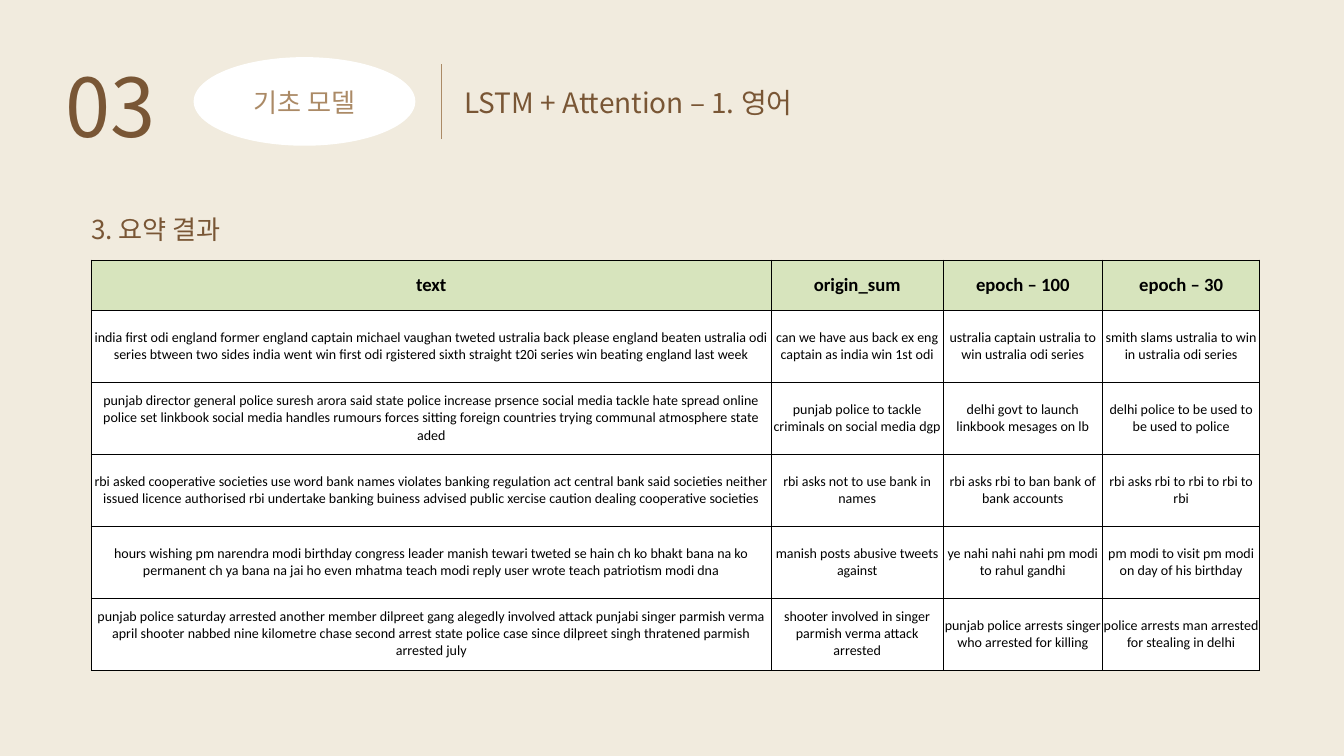
from lxml import etree
from pptx import Presentation
from pptx.dml.color import RGBColor
from pptx.enum.shapes import MSO_CONNECTOR, MSO_SHAPE
from pptx.enum.text import MSO_ANCHOR, PP_ALIGN
from pptx.oxml.ns import qn
from pptx.util import Cm, Pt

LEFT, CENTER, JUSTIFY = PP_ALIGN.LEFT, PP_ALIGN.CENTER, PP_ALIGN.JUSTIFY
TOP, MIDDLE = MSO_ANCHOR.TOP, MSO_ANCHOR.MIDDLE

CREAM = RGBColor(0xF1, 0xEB, 0xDE)
BROWN = RGBColor(0x79, 0x56, 0x35)
TAN = RGBColor(0xAB, 0x8A, 0x66)
GREEN = RGBColor(0xD7, 0xE4, 0xBD)
WHITE = RGBColor(0xFF, 0xFF, 0xFF)
BLACK = RGBColor(0x00, 0x00, 0x00)

HEADING_FONT = "Noto Sans CJK KR"
TABLE_FONT = "Calibri"


def set_heading(sp, text, size, color, align, spacing):
    tf = sp.text_frame
    tf.word_wrap = True
    tf.vertical_anchor = TOP
    tf.margin_left = tf.margin_right = tf.margin_top = tf.margin_bottom = 0
    tf.text = text
    p = tf.paragraphs[0]
    p.alignment = align
    p.line_spacing = spacing
    r = p.runs[0]
    r.font.name = HEADING_FONT
    r.font.size = Pt(size)
    r.font.color.rgb = color
    # East Asian typeface for the Korean words
    ea = etree.SubElement(r._r.get_or_add_rPr(), qn("a:ea"))
    ea.set("typeface", HEADING_FONT)


def set_borders(cell, color, width):
    tcPr = cell._tc.get_or_add_tcPr()
    for i, side in enumerate(("a:lnL", "a:lnR", "a:lnT", "a:lnB")):
        ln = etree.Element(qn(side), w=str(Pt(width)))
        fill = etree.SubElement(ln, qn("a:solidFill"))
        etree.SubElement(fill, qn("a:srgbClr"), val=str(color))
        tcPr.insert(i, ln)


prs = Presentation()
prs.slide_width, prs.slide_height = Cm(50.8), Cm(28.58)
s = prs.slides.add_slide(prs.slide_layouts[5])
s.background.fill.solid()
s.background.fill.fore_color.rgb = CREAM

# Title
title = s.shapes.title
title.left, title.top, title.width, title.height = Cm(17.55), Cm(3.02), Cm(17.37), Cm(1.35)
set_heading(title, "LSTM + Attention – 1. 영어", 30, BROWN, LEFT, Pt(41.5))

# Oval behind the section name
oval = s.shapes.add_shape(MSO_SHAPE.OVAL, Cm(7.32), Cm(2.16), Cm(8.38), Cm(3.35))
oval.shadow.inherit = False
oval.fill.solid()
oval.fill.fore_color.rgb = WHITE
oval.line.fill.background()

# Section number, section name and subheading
headings = [
    ("03", (2.49, 1.5, 3.84, 4.01), 87, BROWN, LEFT, Pt(121.9)),
    ("기초 모델", (9.17, 3.07, 4.65, 1.27), 28, TAN, CENTER, Pt(39.3)),
    ("3. 요약 결과", (3.45, 7.47, 13.69, 8.97), 28, BROWN, JUSTIFY, 1.5),
]
for text, box, size, color, align, spacing in headings:
    sp = s.shapes.add_textbox(*map(Cm, box))
    set_heading(sp, text, size, color, align, spacing)

# Divider before the title
divider = s.shapes.add_connector(MSO_CONNECTOR.STRAIGHT, Cm(16.69), Cm(5.26), Cm(16.69), Cm(2.41))
divider.line.color.rgb = TAN
divider.line.width = Pt(1.5)
etree.SubElement(divider._element.spPr, qn("a:effectLst"))

# Table of summaries
rows = [
    ("text", "origin_sum", "epoch – 100", "epoch – 30"),
    ("india first odi england former england captain michael vaughan tweted ustralia back "
     "please england beaten ustralia odi series btween two sides india went win first odi "
     "rgistered sixth straight t20i series win beating england last week",
     "can we have aus back ex eng captain as india win 1st odi",
     "ustralia captain ustralia to win ustralia odi series",
     "smith slams ustralia to win in ustralia odi series"),
    ("punjab director general police suresh arora said state police increase prsence social "
     "media tackle hate spread online police set linkbook social media handles rumours forces "
     "sitting foreign countries trying communal atmosphere state aded",
     "punjab police to tackle criminals on social media dgp",
     "delhi govt to launch linkbook mesages on lb",
     "delhi police to be used to be used to police"),
    ("rbi asked cooperative societies use word bank names violates banking regulation act "
     "central bank said societies neither issued licence authorised rbi undertake banking "
     "buiness advised public xercise caution dealing cooperative societies",
     "rbi asks not to use bank in names",
     "rbi asks rbi to ban bank of bank accounts",
     "rbi asks rbi to rbi to rbi to rbi"),
    ("hours wishing pm narendra modi birthday congress leader manish tewari tweted se hain ch "
     "ko bhakt bana na ko permanent ch ya bana na jai ho even mhatma teach modi reply user "
     "wrote teach patriotism modi dna",
     "manish posts abusive tweets against",
     "ye nahi nahi nahi pm modi to rahul gandhi",
     "pm modi to visit pm modi on day of his birthday"),
    ("punjab police saturday arrested another member dilpreet gang alegedly involved attack "
     "punjabi singer parmish verma april shooter nabbed nine kilometre chase second arrest "
     "state police case since dilpreet singh thratened parmish arrested july",
     "shooter involved in singer parmish verma attack arrested",
     "punjab police arrests singer who arrested for killing",
     "police arrests man arrested for stealing in delhi"),
]
col_widths = [25.7, 6.5, 6.02, 5.95]
row_heights = [1.9] + [2.72] * 5

table = s.shapes.add_table(len(rows), len(col_widths), Cm(3.45), Cm(9.83),
                           Cm(sum(col_widths)), Cm(sum(row_heights))).table
table.horz_banding = False
for column, width in zip(table.columns, col_widths):
    column.width = Cm(width)
for i, (row, height) in enumerate(zip(rows, row_heights)):
    is_header = i == 0
    table.rows[i].height = Cm(height)
    for j, text in enumerate(row):
        cell = table.cell(i, j)
        cell.margin_left = cell.margin_right = cell.margin_top = cell.margin_bottom = 0
        cell.vertical_anchor = MIDDLE
        cell.fill.solid()
        cell.fill.fore_color.rgb = GREEN if is_header else WHITE
        set_borders(cell, BLACK, 1)
        cell.text_frame.text = text
        p = cell.text_frame.paragraphs[0]
        p.alignment = CENTER
        font = p.runs[0].font
        font.name = TABLE_FONT
        font.size = Pt(20 if is_header else 15)
        font.bold = is_header
        font.color.rgb = BLACK

prs.save("out.pptx")
